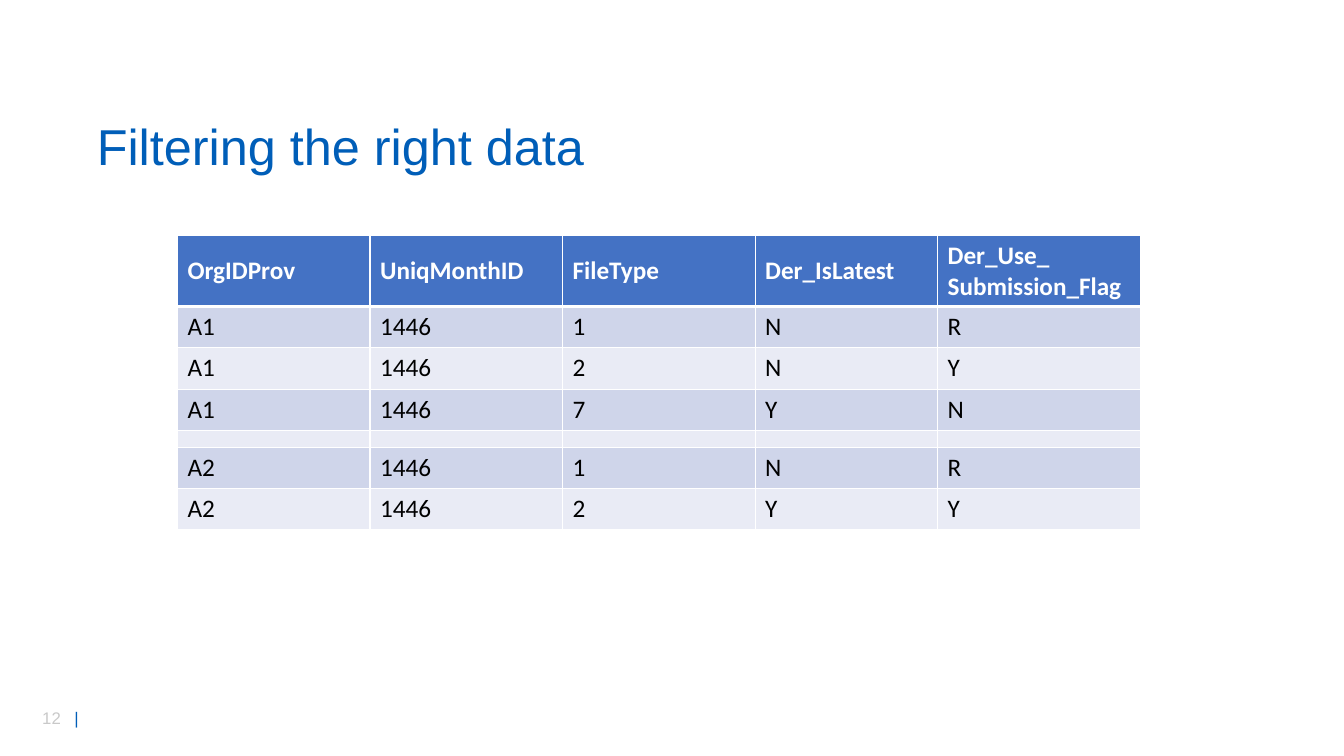
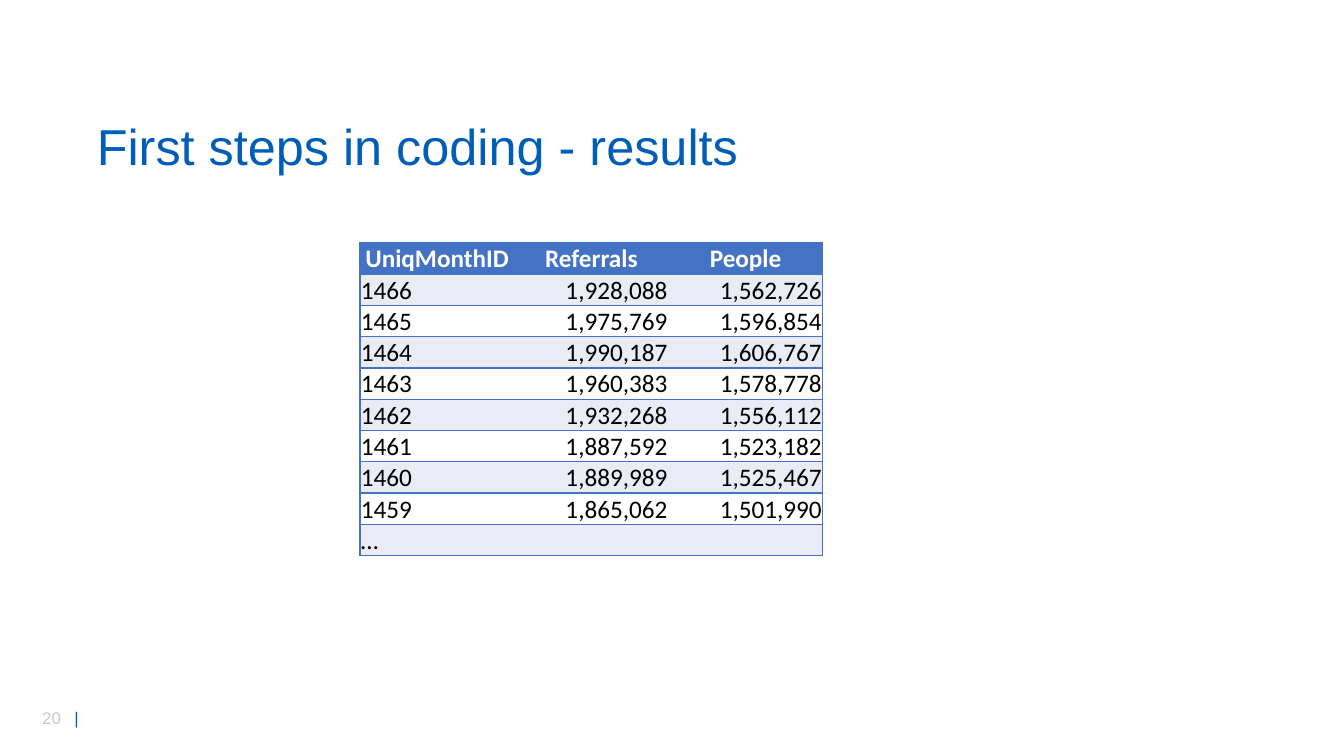
from lxml import etree
from pptx import Presentation, util as u
from pptx.dml.color import RGBColor
from pptx.enum import text
from pptx.oxml import ns

# Shared look
TITLE_BLUE = RGBColor(0x00, 0x5E, 0xB8)
HEADER_BLUE = RGBColor(0x44, 0x72, 0xC4)
BAND_DARK = RGBColor(0xCF, 0xD5, 0xEA)
BAND_LIGHT = RGBColor(0xE9, 0xEB, 0xF5)
NUMBER_GREY = RGBColor(0xC9, 0xC9, 0xC9)
WHITE = RGBColor(0xFF, 0xFF, 0xFF)
BLACK = RGBColor(0x00, 0x00, 0x00)
HEADING_FONT, TABLE_FONT = "Arial", "Calibri"
LEFT, CENTER, RIGHT = text.PP_ALIGN.LEFT, text.PP_ALIGN.CENTER, text.PP_ALIGN.RIGHT
TOP, MIDDLE, BOTTOM = text.MSO_ANCHOR.TOP, text.MSO_ANCHOR.MIDDLE, text.MSO_ANCHOR.BOTTOM
TITLE_BOX = (0.86, 1.14, 11.64, 0.67)
FOOTER_BOX = (0.32, 6.97, 0.71, 0.3)

# Content
FILTER_ROWS = [
    ("OrgIDProv", "UniqMonthID", "FileType", "Der_IsLatest", "Der_Use_\nSubmission_Flag"),
    ("A1", "1446", "1", "N", "R"),
    ("A1", "1446", "2", "N", "Y"),
    ("A1", "1446", "7", "Y", "N"),
    ("", "", "", "", ""),
    ("A2", "1446", "1", "N", "R"),
    ("A2", "1446", "2", "Y", "Y"),
]
RESULT_ROWS = [
    ("UniqMonthID", "Referrals", "People"),
    ("1466", "1,928,088", "1,562,726"),
    ("1465", "1,975,769", "1,596,854"),
    ("1464", "1,990,187", "1,606,767"),
    ("1463", "1,960,383", "1,578,778"),
    ("1462", "1,932,268", "1,556,112"),
    ("1461", "1,887,592", "1,523,182"),
    ("1460", "1,889,989", "1,525,467"),
    ("1459", "1,865,062", "1,501,990"),
    ("…", "", ""),
]
SLIDES = [
    {"number": 12, "title": "Filtering the right data", "rows": FILTER_ROWS,
     "origin": (1.76, 2.34), "widths": [1.91, 1.91, 1.91, 1.81, 2.01],
     "heights": [0.7, 0.41, 0.41, 0.41, 0.16, 0.41, 0.41],
     "bands": (BAND_DARK, BAND_LIGHT), "anchors": (MIDDLE, TOP),
     "header_align": LEFT, "aligns": [LEFT] * 5, "margins": {},
     "line": WHITE, "columns_ruled": True, "header_rule": 3},
    {"number": 20, "title": "First steps in coding - results", "rows": RESULT_ROWS,
     "origin": (3.57, 2.41), "widths": [1.53] * 3, "heights": [0.31] * 10,
     "bands": (BAND_LIGHT, WHITE), "anchors": (BOTTOM, BOTTOM),
     "header_align": CENTER, "aligns": [LEFT, RIGHT, RIGHT],
     "margins": {"margin_left": 0.01, "margin_right": 0.01,
                 "margin_top": 0.01, "margin_bottom": 0},
     "line": HEADER_BLUE, "columns_ruled": False, "header_rule": 1},
]


def inches(values):
    return [u.Inches(value) for value in values]


def style(font, color, **values):
    font.color.rgb = color
    for name, value in values.items():
        setattr(font, name, value)


def add_title(page, title):
    box = page.shapes.title
    box.left, box.top, box.width, box.height = inches(TITLE_BOX)
    frame = box.text_frame
    frame.text = title
    frame.auto_size = text.MSO_AUTO_SIZE.NONE
    frame.vertical_anchor = MIDDLE
    para = frame.paragraphs[0]
    para.alignment, para.line_spacing = LEFT, 0.9
    style(para.runs[0].font, TITLE_BLUE, name=HEADING_FONT, size=u.Pt(36))


def add_footer(page, number):
    frame = page.shapes.add_textbox(*inches(FOOTER_BOX)).text_frame
    frame.word_wrap = True
    para = frame.paragraphs[0]
    # A tab stop sets the bar apart from the number
    tabs = etree.SubElement(para._p.get_or_add_pPr(), ns.qn("a:tabLst"))
    etree.SubElement(tabs, ns.qn("a:tab"), pos=str(u.Inches(0.32)), algn="l")
    for words, color in ((f"{number}\t", NUMBER_GREY), ("|", TITLE_BLUE)):
        span = para.add_run()
        span.text = words
        style(span.font, color, name=HEADING_FONT, size=u.Pt(12))


def set_borders(cell, color, widths):
    """Draw the sides L, R, T, B; a width of 0 leaves the side open."""
    properties = cell._tc.get_or_add_tcPr()
    for side, width in zip("LRTB", widths):
        line = etree.SubElement(properties, ns.qn(f"a:ln{side}"), w=str(u.Pt(width)))
        if width:
            fill = etree.SubElement(line, ns.qn("a:solidFill"))
            etree.SubElement(fill, ns.qn("a:srgbClr"), val=str(color))
        else:
            etree.SubElement(line, ns.qn("a:noFill"))


def fill_cell(cell, words, row, column, look):
    header = row == 0
    last = len(look["widths"]) - 1
    ruled = look["columns_ruled"]
    set_borders(cell, look["line"], (
        int(ruled or column == 0), int(ruled or column == last),
        look["header_rule"] if row == 1 else 1,
        look["header_rule"] if header else 1))
    cell.fill.solid()
    cell.fill.fore_color.rgb = HEADER_BLUE if header else look["bands"][(row - 1) % 2]
    cell.vertical_anchor = look["anchors"][0 if header else 1]
    for name, value in look["margins"].items():
        setattr(cell, name, u.Inches(value))
    cell.text_frame.text = words
    for para in cell.text_frame.paragraphs:
        para.alignment = look["header_align"] if header else look["aligns"][column]
        for span in para.runs:
            style(span.font, WHITE if header else BLACK,
                  name=TABLE_FONT, size=u.Pt(18), bold=header)
        if not words:
            # Small type lets an empty row stay thin
            etree.SubElement(para._p, ns.qn("a:endParaRPr"), sz="400")


def add_data_table(page, look):
    rows, widths, heights = look["rows"], look["widths"], look["heights"]
    box = inches((*look["origin"], sum(widths), sum(heights)))
    table = page.shapes.add_table(len(rows), len(widths), *box).table
    table.first_row = table.horz_banding = False
    for column, width in zip(table.columns, inches(widths)):
        column.width = width
    for row, height in zip(table.rows, inches(heights)):
        row.height = height
    for r, row in enumerate(rows):
        for c, words in enumerate(row):
            fill_cell(table.cell(r, c), words, r, c, look)


def main():
    deck = Presentation()
    deck.slide_width, deck.slide_height = inches((13.33, 7.5))
    title_only = deck.slide_layouts[5]
    for look in SLIDES:
        page = deck.slides.add_slide(title_only)
        add_footer(page, look["number"])
        add_title(page, look["title"])
        add_data_table(page, look)
    deck.save("out.pptx")


if __name__ == "__main__":
    main()
